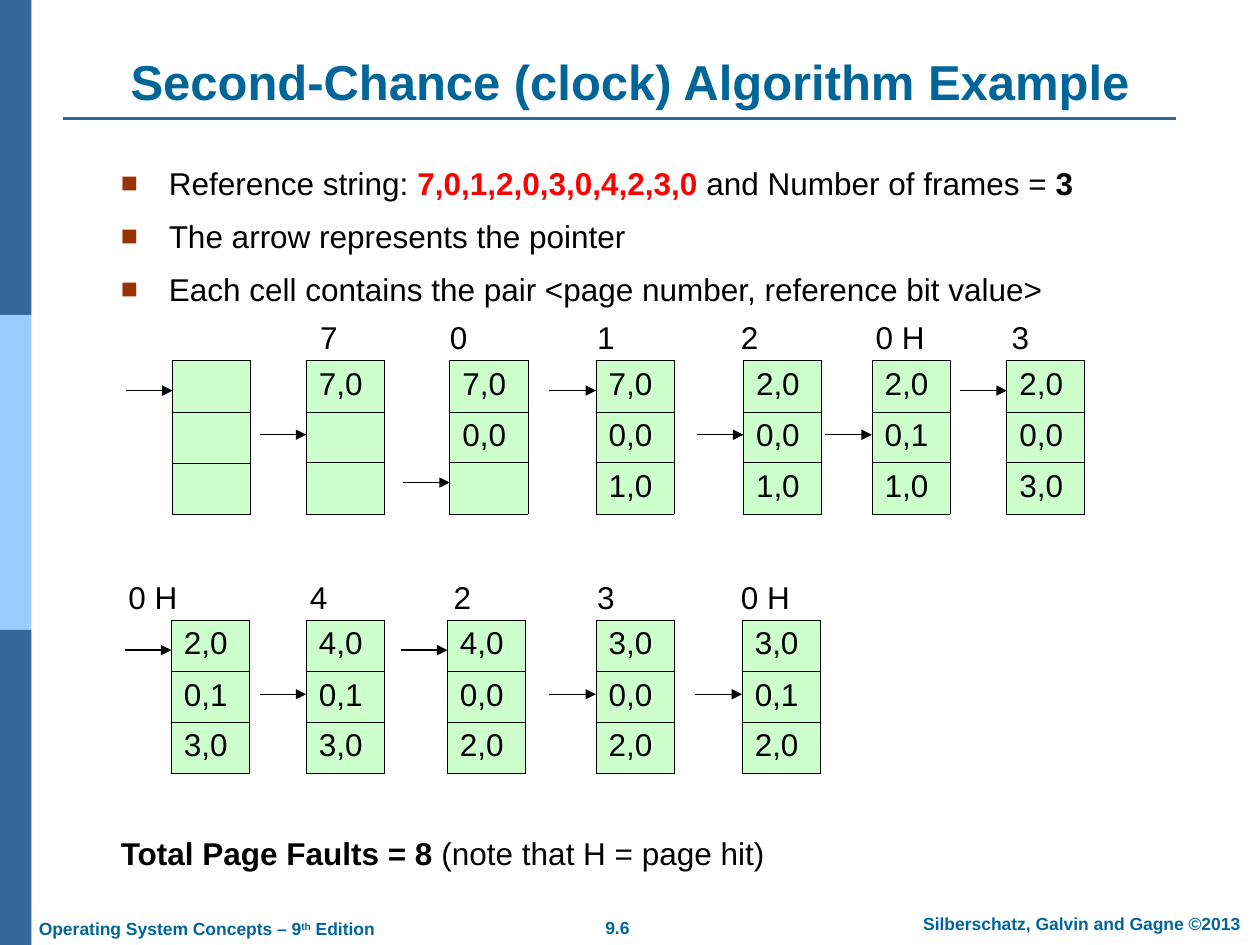
"""Builds the slide that traces the second-chance page replacement algorithm."""
import dataclasses
import typing

import lxml.etree
import pptx
import pptx.dml.color
import pptx.enum.shapes
import pptx.enum.text
import pptx.oxml.ns
import pptx.util

FONT = "Arial"
BLACK, RED, TEAL, BLUE = "000000", "FF0000", "006699", "336699"
SKY, GREEN, BROWN = "99CCFF", "CCFFCC", "993300"
CELLS_PER_INCH = 10
FRAME_WIDTH, FRAME_ROWS = 6.2, (4.1, 4, 4.1)
ARROW_LENGTH = 3.7
POINTER_DROPS = (2.4, 5.9, 9.7)
LABEL_RISE = 3.35
LEFT, CENTER = pptx.enum.text.PP_ALIGN.LEFT, pptx.enum.text.PP_ALIGN.CENTER


@dataclasses.dataclass
class Piece:
    """A stretch of text with one look."""
    text: str
    color: str = BLACK
    bold: bool = False
    size: float = 18
    raised: bool = False


@dataclasses.dataclass
class Step:
    """The frames after one reference, with the row of the pointer."""
    column: float
    pages: tuple[str, str, str]
    pointer: int
    label: str = ""
    label_column: float = 0


@dataclasses.dataclass
class Footer:
    """A line of text at the foot of the slide."""
    column: float
    row: float
    width: float
    align: typing.Any
    pieces: list[Piece]


TRACES = {
    28.6: [
        Step(13.7, ("", "", ""), 0),
        Step(24.3, ("7,0", "", ""), 1, "7", 25.4),
        Step(35.7, ("7,0", "0,0", ""), 2, "0", 35.7),
        Step(47.3, ("7,0", "0,0", "1,0"), 0, "1", 47.4),
        Step(59, ("2,0", "0,0", "1,0"), 1, "2", 58.8),
        Step(69.2, ("2,0", "0,1", "1,0"), 1, "0 H", 69.5),
        Step(79.9, ("2,0", "0,0", "3,0"), 0, "3", 80.3),
    ],
    49.2: [
        Step(13.6, ("2,0", "0,1", "3,0"), 0, "0 H", 10.2),
        Step(24.3, ("4,0", "0,1", "3,0"), 1, "4", 24.6),
        Step(35.5, ("4,0", "0,0", "2,0"), 0, "2", 36),
        Step(47.3, ("3,0", "0,0", "2,0"), 1, "3", 47.4),
        Step(58.9, ("3,0", "0,1", "2,0"), 1, "0 H", 58.8),
    ],
}
BULLETS = [
    [Piece("Reference string: "), Piece("7,0,1,2,0,3,0,4,2,3,0", RED, True),
     Piece(" and Number of frames = "), Piece("3", bold=True)],
    [Piece("The arrow represents the pointer")],
    [Piece("Each cell contains the pair <page number, reference bit value>")],
]
FOOTERS = [
    Footer(44.1, 72.3, 9.8, CENTER, [Piece("9.6", TEAL, True, 10)]),
    Footer(71, 72, 29.7, CENTER, [Piece("Silberschatz, Galvin and Gagne ©2013", TEAL, True, 10)]),
    Footer(2.1, 72.4, 32, LEFT, [
        Piece("Operating System Concepts – 9", TEAL, True, 10),
        Piece("th", TEAL, True, 10, True), Piece(" Edition", TEAL, True, 10)]),
]


def grid(cells: float) -> int:
    """Turn a count of grid cells into a length."""
    return pptx.util.Inches(cells / CELLS_PER_INCH)


def rgb(value: str) -> pptx.dml.color.RGBColor:
    """Turn a hex string into a colour."""
    return pptx.dml.color.RGBColor.from_string(value)


def add_element(parent: typing.Any, tag: str, **attributes: str) -> typing.Any:
    """Append a drawing element to a parent."""
    return lxml.etree.SubElement(parent, pptx.oxml.ns.qn(tag), attributes)


def write(para: typing.Any, pieces: list[Piece], align: typing.Any = LEFT) -> None:
    """Fill a paragraph with formatted runs."""
    para.alignment = align
    for piece in pieces:
        span = para.add_run()
        span.text = piece.text
        span.font.name, span.font.size = FONT, pptx.util.Pt(piece.size)
        span.font.bold, span.font.color.rgb = piece.bold, rgb(piece.color)
        if piece.raised:
            span.font._element.set("baseline", "30000")


def move(shape: typing.Any, column: float, row: float, width: float, height: float) -> None:
    """Place a shape on the grid."""
    shape.left, shape.top = grid(column), grid(row)
    shape.width, shape.height = grid(width), grid(height)


def add_text(page: typing.Any, column: float, row: float, width: float, pieces: list[Piece],
             align: typing.Any = LEFT, inset: tuple[float, float] = (0, 0)) -> None:
    """Add one line of text."""
    box = page.shapes.add_textbox(grid(column), grid(row), grid(width), grid(2.9))
    frame = box.text_frame
    frame.word_wrap = True
    frame.margin_left = frame.margin_right = grid(inset[0])
    frame.margin_top = frame.margin_bottom = grid(inset[1])
    write(frame.paragraphs[0], pieces, align)


def add_line(page: typing.Any, start: tuple[float, float], end: tuple[float, float],
             color: str, weight: float, arrow: bool = False) -> None:
    """Add a straight line, with an arrowhead if asked for."""
    line = page.shapes.add_connector(
        pptx.enum.shapes.MSO_CONNECTOR.STRAIGHT, *map(grid, start + end))
    line.line.color.rgb, line.line.width = rgb(color), pptx.util.Pt(weight)
    if arrow:
        add_element(line.line._get_or_add_ln(), "a:tailEnd", type="triangle")
    add_element(line._element.spPr, "a:effectLst")


def add_band(page: typing.Any, index: int, color: str) -> None:
    """Add one third of the side band."""
    band = page.shapes.add_shape(pptx.enum.shapes.MSO_SHAPE.RECTANGLE,
                                 0, grid(25 * index), grid(2.5), grid(25))
    band.shadow.inherit = False
    band.fill.solid()
    band.fill.fore_color.rgb = rgb(color)
    band.line.fill.background()


def add_bullet(para: typing.Any, pieces: list[Piece]) -> None:
    """Write a paragraph with a square bullet."""
    properties = para._p.get_or_add_pPr()
    indent = grid(3.8)
    properties.set("marL", str(indent))
    properties.set("indent", str(-indent))
    add_element(add_element(properties, "a:buClr"), "a:srgbClr", val=BROWN)
    add_element(properties, "a:buSzPct", val="90000")
    add_element(properties, "a:buFont", typeface=FONT)
    add_element(properties, "a:buChar", char="■")
    write(para, pieces)


def add_frames(page: typing.Any, step: Step, row: float) -> None:
    """Draw the frames of a step as a one-column table."""
    table = page.shapes.add_table(len(FRAME_ROWS), 1, grid(step.column), grid(row),
                                  grid(FRAME_WIDTH), grid(sum(FRAME_ROWS))).table
    table.first_row = table.horz_banding = False
    for index, (height, text) in enumerate(zip(FRAME_ROWS, step.pages)):
        table.rows[index].height = grid(height)
        cell = table.cell(index, 0)
        properties = cell._tc.get_or_add_tcPr()
        for side in ("a:lnL", "a:lnR", "a:lnT", "a:lnB"):
            border = add_element(properties, side, w=str(pptx.util.Pt(0.45)))
            add_element(add_element(border, "a:solidFill"), "a:srgbClr", val=BLACK)
        cell.fill.solid()
        cell.fill.fore_color.rgb = rgb(GREEN)
        if text:
            write(cell.text_frame.paragraphs[0], [Piece(text)])


def add_step(page: typing.Any, step: Step, row: float) -> None:
    """Draw a step: its label, frames and pointer."""
    if step.label:
        add_text(page, step.label_column, row - LABEL_RISE, 6, [Piece(step.label)])
    add_frames(page, step, row)
    level = row + POINTER_DROPS[step.pointer]
    add_line(page, (step.column - ARROW_LENGTH, level), (step.column, level), BLACK, 0.75, True)


def main() -> None:
    """Build and save the deck."""
    deck = pptx.Presentation()
    deck.slide_width, deck.slide_height = grid(100), grid(75)
    page = deck.slides.add_slide(deck.slide_layouts[1])
    title, body = page.placeholders
    move(title, 5, 3, 90, 6.3)
    title.text_frame.auto_size = pptx.enum.text.MSO_AUTO_SIZE.NONE
    title.text_frame.vertical_anchor = pptx.enum.text.MSO_ANCHOR.BOTTOM
    write(title.text_frame.paragraphs[0],
          [Piece("Second-Chance (clock) Algorithm Example", TEAL, True, 28)], CENTER)
    move(body, 8.6, 12.5, 82.8, 12.7)
    frame = body.text_frame
    frame.auto_size = pptx.enum.text.MSO_AUTO_SIZE.NONE
    for index, pieces in enumerate(BULLETS):
        para = frame.add_paragraph() if index else frame.paragraphs[0]
        para.space_before = pptx.util.Pt(8.8 if index else 0)
        add_bullet(para, pieces)
    for index, color in enumerate((BLUE, SKY, BLUE)):
        add_band(page, index, color)
    add_line(page, (5, 9.4), (93.3, 9.4), BLUE, 1.5)
    for row, steps in TRACES.items():
        for step in steps:
            add_step(page, step, row)
    add_text(page, 9.6, 66.2, 80, [Piece("Total Page Faults = 8 ", bold=True),
                                   Piece("(note that H = page hit)")])
    for footer in FOOTERS:
        add_text(page, footer.column, footer.row, footer.width, footer.pieces,
                 footer.align, (1, 0.5))
    deck.save("out.pptx")


if __name__ == "__main__":
    main()
